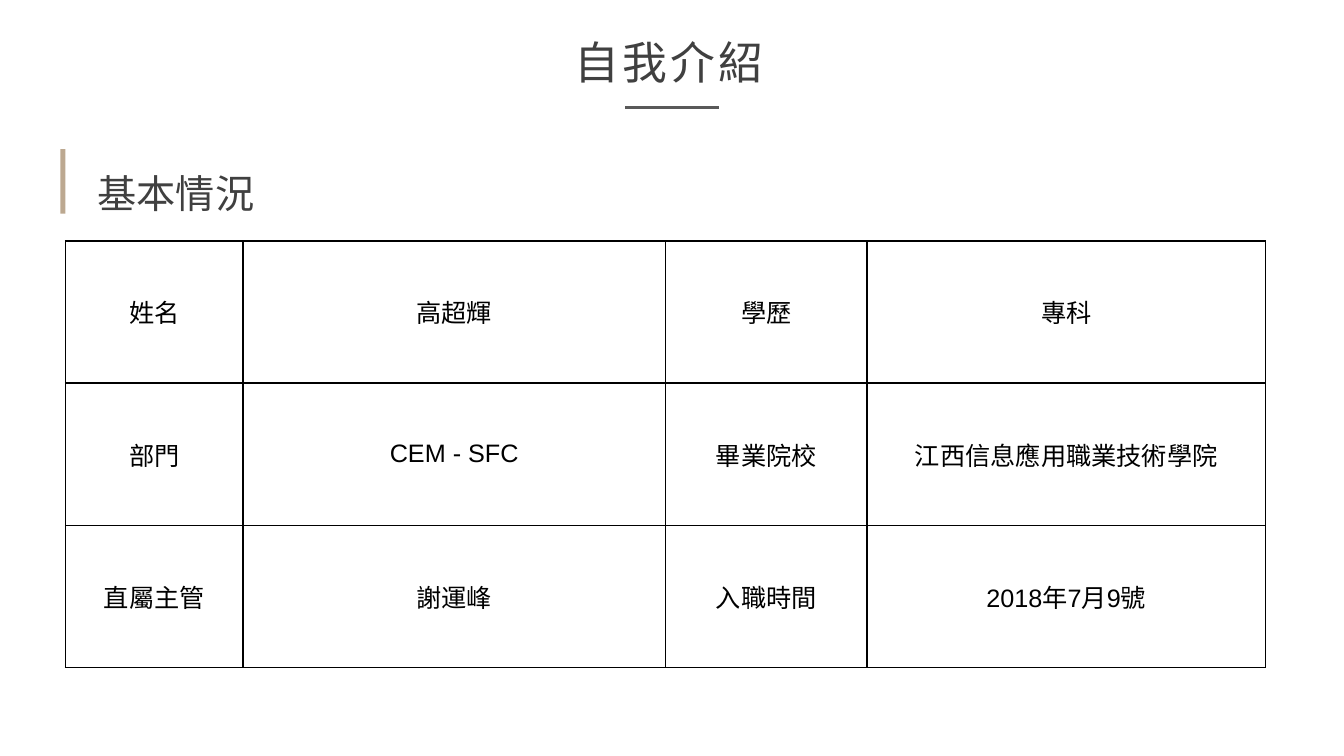
import dataclasses

import lxml.etree
import pptx
import pptx.dml.color
import pptx.enum.shapes
import pptx.enum.text
import pptx.oxml.ns
import pptx.util

Inches = pptx.util.Inches
Pt = pptx.util.Pt
qn = pptx.oxml.ns.qn
ALIGN = pptx.enum.text.PP_ALIGN
ANCHOR = pptx.enum.text.MSO_ANCHOR

FONT = "Arial"
BLACK = "000000"
DARK = "404040"
GREY = "595959"
TAN = "BCA890"


@dataclasses.dataclass(frozen=True)
class Column:
    width: float
    texts: tuple[str, str, str]


COLUMNS = (
    Column(1.76, ("姓名", "部門", "直屬主管")),
    Column(4.19, ("高超輝", "CEM - SFC", "謝運峰")),
    Column(2.0, ("學歷", "畢業院校", "入職時間")),
    Column(3.95, ("專科", "江西信息應用職業技術學院", "2018年7月9號")),
)
ROW_HEIGHT = 1.41


def colour(value: str) -> pptx.dml.color.RGBColor:
    return pptx.dml.color.RGBColor.from_string(value)


def write(frame, text: str, *, size: float, fill: str = DARK,
          align=ALIGN.LEFT, line_spacing: float = 1.0) -> None:
    para = frame.paragraphs[0]
    para.alignment = align
    para.line_spacing = line_spacing
    span = para.add_run()
    span.text = text
    span.font.name = FONT
    span.font.size = Pt(size)
    span.font.color.rgb = colour(fill)


def place(shape, left: float, top: float, width: float, height: float) -> None:
    shape.left, shape.top = Inches(left), Inches(top)
    shape.width, shape.height = Inches(width), Inches(height)


def add_title(slide, text: str) -> None:
    title = slide.shapes.title
    place(title, 5.63, 0.3, 2.35, 0.61)
    frame = title.text_frame
    frame.auto_size = pptx.enum.text.MSO_AUTO_SIZE.NONE
    frame.vertical_anchor = ANCHOR.TOP
    frame.margin_left = frame.margin_right = Inches(0.07)
    frame.margin_top = frame.margin_bottom = Inches(0.04)
    write(frame, text, size=32)
    for properties in title.element.iter(qn("a:rPr")):
        properties.set("spc", "220")  # letter spacing

    rule = slide.shapes.add_connector(
        pptx.enum.shapes.MSO_CONNECTOR.STRAIGHT,
        Inches(6.2), Inches(1.07), Inches(7.13), Inches(1.07))
    rule.line.color.rgb = colour(GREY)
    rule.line.width = Pt(2.25)
    lxml.etree.SubElement(rule.element.spPr, qn("a:effectLst"))


def add_heading(slide, text: str) -> None:
    bar = slide.shapes.add_shape(
        pptx.enum.shapes.MSO_SHAPE.RECTANGLE,
        Inches(0.6), Inches(1.48), Inches(0.05), Inches(0.64))
    bar.shadow.inherit = False
    bar.fill.solid()
    bar.fill.fore_color.rgb = colour(TAN)
    bar.line.fill.background()

    box = slide.shapes.add_textbox(
        Inches(0.86), Inches(1.4), Inches(1.77), Inches(0.81))
    box.text_frame.word_wrap = False
    write(box.text_frame, text, size=28, align=ALIGN.CENTER, line_spacing=1.5)


def add_borders(frame, line_colour: str, width: float) -> None:
    for properties in frame.element.iter(qn("a:tcPr")):
        for index, side in enumerate(("lnL", "lnR", "lnT", "lnB")):
            border = lxml.etree.Element(qn(f"a:{side}"), w=str(Pt(width)))
            fill = lxml.etree.SubElement(border, qn("a:solidFill"))
            lxml.etree.SubElement(fill, qn("a:srgbClr"), val=line_colour)
            properties.insert(index, border)


def add_profile_table(slide) -> None:
    row_count = len(COLUMNS[0].texts)
    frame = slide.shapes.add_table(
        row_count, len(COLUMNS), Inches(0.65), Inches(2.39),
        Inches(sum(column.width for column in COLUMNS)),
        Inches(row_count * ROW_HEIGHT))
    table = frame.table
    table.first_row = table.horz_banding = False
    for row in table.rows:
        row.height = Inches(ROW_HEIGHT)
    for column_index, column in enumerate(COLUMNS):
        table.columns[column_index].width = Inches(column.width)
        for row_index, text in enumerate(column.texts):
            cell = table.cell(row_index, column_index)
            cell.fill.background()
            cell.vertical_anchor = ANCHOR.MIDDLE
            write(cell.text_frame, text, size=18, fill=BLACK, align=ALIGN.CENTER)
    add_borders(frame, BLACK, 1)


def main() -> None:
    deck = pptx.Presentation()
    deck.slide_width, deck.slide_height = Inches(13.33), Inches(7.5)
    slide = deck.slides.add_slide(deck.slide_layouts.get_by_name("Title Only"))

    # Title with its underline
    add_title(slide, "自我介紹")
    # Section heading with its accent bar
    add_heading(slide, "基本情況")
    # Personal details
    add_profile_table(slide)

    deck.save("out.pptx")


if __name__ == "__main__":
    main()
